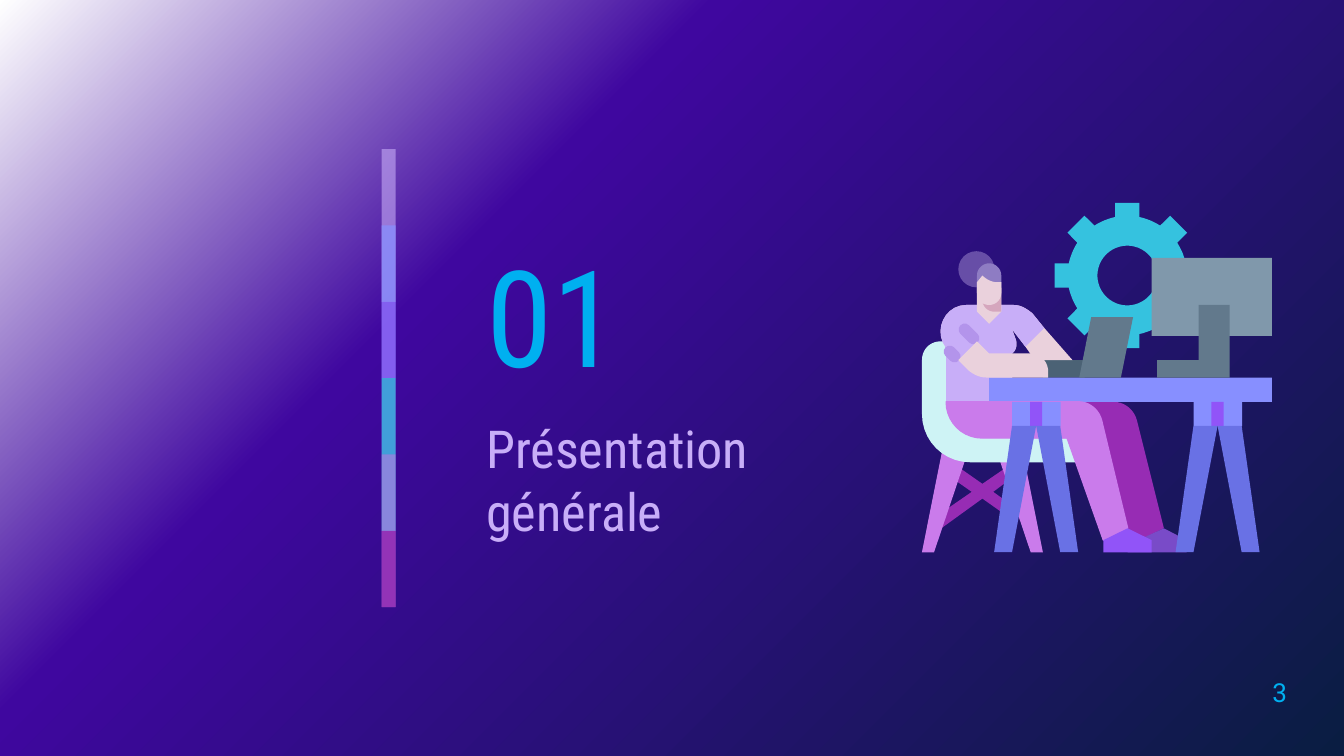
from copy import deepcopy
from math import cos, sin, pi, sqrt
from pptx import Presentation
from pptx.dml.color import RGBColor as Rgb
from pptx.enum.shapes import MSO_SHAPE as Kind
from pptx.enum.text import MSO_ANCHOR as Anchor
from pptx.oxml.ns import qn
from pptx.oxml.xmlchemy import OxmlElement as Node
from pptx.util import Pt

WHITE, VIOLET, NAVY = Rgb(255, 255, 255), Rgb(0x3F, 0x07, 0x9F), Rgb(0x0A, 0x1D, 0x42)
SKY, TEAL, ICE = Rgb(0x00, 0xB0, 0xF0), Rgb(0x35, 0xC2, 0xDF), Rgb(0xCE, 0xF3, 0xF5)
LILAC, MAUVE = Rgb(0xC8, 0xAE, 0xF8), Rgb(0xB3, 0x94, 0xEB)
BLUE, INDIGO, GRAPE = Rgb(0x87, 0x8F, 0xFF), Rgb(0x69, 0x71, 0xE5), Rgb(0x91, 0x54, 0xF8)
PINK, PLUM, DUSK = Rgb(0xCA, 0x7B, 0xEB), Rgb(0x97, 0x2C, 0xB4), Rgb(0x79, 0x4B, 0xC8)
SKIN, BLUSH = Rgb(0xEA, 0xD1, 0xDC), Rgb(0xD5, 0xA6, 0xBD)
HAIR, FRINGE = Rgb(0x67, 0x4E, 0xA7), Rgb(0x8E, 0x7C, 0xC3)
SLATE, STEEL, FOG = Rgb(0x4B, 0x62, 0x75), Rgb(0x62, 0x79, 0x8C), Rgb(0x80, 0x98, 0xAB)


def paint(shape, color):
    """Fill a shape without outline or shadow."""
    shape.shadow.inherit = False
    shape.fill.solid()
    shape.fill.fore_color.rgb = color
    shape.line.fill.background()
    return shape


def block(group, color, x, y, w, h, kind=Kind.RECTANGLE):
    """Add a filled preset shape."""
    return paint(group.shapes.add_shape(kind, Pt(x), Pt(y), Pt(w), Pt(h)), color)


def pill(group, color, x, y, size):
    """Add a rounded patch tilted by 45 degrees around its centre."""
    shape = block(group, color, x - size / 2, y - 3.25, size, 6.5, Kind.ROUNDED_RECTANGLE)
    shape.adjustments[0] = 0.5
    shape.rotation = 45


def trace(steps):
    """Turn line steps (x, y) and cubic steps (six numbers) into points."""
    dots = []
    for step in steps:
        if len(step) == 2:
            dots.append(step)
            continue
        ctrl = [dots[-1], step[:2], step[2:4], step[4:]]
        for t in (k / 10 for k in range(1, 11)):
            mix = ((1 - t) ** 3, 3 * t * (1 - t) ** 2, 3 * t * t * (1 - t), t ** 3)
            dots.append(tuple(sum(m * c[i] for m, c in zip(mix, ctrl)) for i in (0, 1)))
    return dots


def outline(group, color, *rings):
    """Add a filled outline made of one or more closed rings."""
    pen = None
    for ring in rings:
        first, *rest = [(Pt(x), Pt(y)) for x, y in trace(ring)]
        if pen is None:
            pen = group.shapes.build_freeform(*first, scale=1.0)
        else:
            pen.move_to(*first)
        pen.add_line_segments(rest, close=True)
    return paint(pen.convert_to_shape(), color)


def gear(group, x, y, rim=32, tip=38.9, half=6.45, hole=16):
    """Add a gear with eight square teeth and a round hole."""
    edge = []
    for k in range(8):
        c, s = cos(k * pi / 4), sin(k * pi / 4)
        base = sqrt(rim ** 2 - half ** 2)
        for u, v in ((base, -half), (tip, -half), (tip, half), (base, half)):
            edge.append((x + u * c - v * s, y + u * s + v * c))
        for turn in (0.35, 0.5, 0.65):
            a = (k + turn) * pi / 4
            edge.append((x + rim * cos(a), y + rim * sin(a)))
    ring = [(x + hole * cos(k * pi / 24), y - hole * sin(k * pi / 24)) for k in range(48)]
    outline(group, TEAL, edge, ring)


def trestle(group, x):
    """Add a desk trestle whose top block starts at x."""
    block(group, BLUE, x, 215.3, 26, 13)
    block(group, GRAPE, x + 9.6, 215.3, 6.5, 13)
    mid = x + 12.9
    for way in (-1, 1):
        outline(group, INDIGO, [(mid + way * u, v) for u, v in
                                ((12.9, 228.2), (22.5, 295.9), (12.9, 295.9), (0, 228.2))])


def chair(group):
    """Add the chair with its crossed struts."""
    outline(group, PLUM, [
        (511.9, 249.1), (508.3, 254.9), (520.6, 263.5), (499.7, 277.9), (503.3, 283.7),
        (526.3, 267.1), (538.6, 275.8), (542.2, 270.7), (532.1, 263.5), (543.6, 254.9),
        (540, 249.8), (526.3, 259.2)])
    outline(group, PINK, [(532.8, 238.3), (552.2, 295.9), (558.7, 295.9), (547.2, 238.3)])
    outline(group, PINK, [(505.4, 238.3), (493.9, 295.9), (500.4, 295.9), (519.8, 238.3)])
    outline(group, ICE, [
        (504, 182.9), (498.2, 182.9, 493.9, 187.2, 493.9, 193), (493.9, 221.8),
        (493.9, 236.2, 505.4, 247.7, 519.8, 247.7), (581, 247.7), (581, 231.8), (526.3, 231.8),
        (517.7, 231.8, 510.5, 224.6, 510.5, 215.3), (510.5, 182.9)])


def leg(group, color, x, knee, sole):
    """Add a leg starting at x, ending in the sole points."""
    return outline(group, color, [
        (x, 215.3), (x, 226.1, x + 8.6, 234.7, x + 19.4, 234.7), (x + 64.8, 234.7), *sole,
        (knee, 225.4), (knee - 1.4, 219.6, knee - 6.6, 215.3, knee - 12.6, 215.3)])


def torso(group):
    """Add the bare arm and the shirt over it."""
    back = [(517.7, 163.4), (506.2, 163.4, 499.7, 177.1, 506.9, 186.5), (506.9, 215.3),
            (542.2, 215.3), (542.2, 189.4), (544.3, 187.9, 545, 185, 544.3, 182.2),
            (542.2, 176.4), (549.4, 185.8)]
    front = [(559.4, 175.7), (553, 167.8), (550.1, 165.6, 547.2, 163.4, 542.9, 163.4)]
    outline(group, SKIN, back + [(554.4, 193), (574.6, 193)] + front)
    outline(group, LILAC, back + front)


def face(group):
    """Add the neck shade, hair and face."""
    outline(group, BLUSH, [(526.3, 154.1), (526.3, 160.6), (526.3, 164.2, 529.2, 167, 532.8, 167),
                           (536.4, 167), (536.4, 154.1)])
    block(group, HAIR, 513.4, 134.6, 19.4, 19.4, Kind.OVAL)
    outline(group, FRINGE, [(529.9, 141.1), (526.3, 141.1, 523.4, 144, 523.4, 147.6),
                            (523.4, 154.1), (536.4, 154.1), (536.4, 147.6),
                            (536.4, 144, 533.5, 141.1, 529.9, 141.1)])
    outline(group, SKIN, [(526.3, 147.6), (523.4, 151.2), (523.4, 157),
                          (523.4, 160.6, 526.3, 163.4, 529.9, 163.4),
                          (533.5, 163.4, 536.4, 160.6, 536.4, 157), (536.4, 151.2),
                          (534.2, 151.2), (531.4, 151.2, 528.5, 149.8, 526.3, 147.6)])


def worker(group):
    """Add the person at the desk, from back to front."""
    gear(group, 603.9, 147.6)
    block(group, SLATE, 558.7, 193, 22.3, 9.3)
    chair(group)
    leg(group, PLUM, 526.3, 609.1, [(604.1, 289.4), (610.6, 289.4), (623.5, 283)])
    outline(group, DUSK, [(623.5, 283), (604.1, 292), (604.1, 295.9), (635.8, 295.9), (635.8, 289.4)])
    torso(group)
    block(group, BLUE, 529.9, 202.3, 151.5, 13)
    pill(group, MAUVE, 510.1, 189.7, 10.1)
    pill(group, MAUVE, 519.1, 178.9, 13)
    outline(group, SKIN, [(523.4, 154.1), (523.4, 167), (529.9, 173.5), (536.4, 167), (536.4, 154.1)])
    outline(group, SKIN, [(523.4, 182.9), (513.4, 193), (519.1, 198.7),
                          (522, 200.9, 524.9, 202.3, 528.5, 202.3), (561.6, 202.3), (561.6, 199.4),
                          (561.6, 193.7, 557.3, 189.4, 552.2, 189.4), (529.9, 189.4)])
    outline(group, STEEL, [(584.6, 169.9), (578.2, 202.3), (600.5, 202.3), (607, 169.9)])
    line = leg(group, PINK, 506.9, 590.2, [(591.1, 289.4), (604.1, 283)]).line
    line.color.rgb, line.width = PINK, Pt(0.75)
    outline(group, GRAPE, [(604.1, 283), (591.1, 289.4), (591.1, 295.9), (617, 295.9), (617, 289.4)])
    block(group, FOG, 617, 138.2, 64.4, 41.8)
    outline(group, STEEL, [(642.2, 163.4), (642.2, 193), (619.9, 193), (619.9, 202.3),
                           (658.8, 202.3), (658.8, 163.4)])
    trestle(group, 639.4)
    trestle(group, 542.2)
    face(group)


def stripe(group):
    """Add the see-through bars, each covering half of the one before."""
    tints = ((LILAC, 59), (BLUE, 74), (GRAPE, 53), (TEAL, 76), (PINK, 56), (PLUM, 74))
    for k, (color, share) in enumerate(tints):
        bar = block(group, color, 204.5, 79.9 + 40.9 * k, 7.5, 40.9 if k == 5 else 81.8)
        alpha = Node("a:alpha")
        alpha.set("val", str(share * 1000))
        bar.element.spPr.find(qn("a:solidFill"))[0].append(alpha)


def label(slide, text, spot, size, color, font="Roboto Condensed", anchor=Anchor.TOP, inset=7.2):
    """Add a one-paragraph text box."""
    frame = slide.shapes.add_textbox(*map(Pt, spot)).text_frame
    frame.word_wrap, frame.vertical_anchor = True, anchor
    frame.margin_top = frame.margin_bottom = Pt(inset)
    para = frame.paragraphs[0]
    para.text = text
    para.font.name, para.font.size, para.font.color.rgb = font, Pt(size), color


def backdrop(slide):
    """Give the slide a diagonal gradient of three colours."""
    fill = slide.background.fill
    fill.gradient()
    fill.gradient_angle = 315
    stops = slide.element.find(".//" + qn("a:gsLst"))
    stops.insert(1, deepcopy(stops[0]))
    for stop, color, place in zip(fill.gradient_stops, (WHITE, VIOLET, NAVY), (0, 0.34, 1)):
        stop.color.rgb, stop.position = color, place


def main():
    """Build the section slide."""
    deck = Presentation()
    deck.slide_width, deck.slide_height = Pt(720), Pt(405)
    slide = deck.slides.add_slide(deck.slide_layouts[6])
    backdrop(slide)
    label(slide, "01", (253.4, 119.5, 126, 97.2), 72, SKY, anchor=Anchor.MIDDLE)
    label(slide, "Présentation générale", (253.4, 216, 206.6, 82.1), 28, LILAC)
    worker(slide.shapes.add_group_shape())
    stripe(slide.shapes.add_group_shape())
    label(slide, "3", (674.6, 358.6, 23.8, 24.5), 14, SKY, "Roboto", inset=3.6)
    deck.save("out.pptx")


if __name__ == "__main__":
    main()
